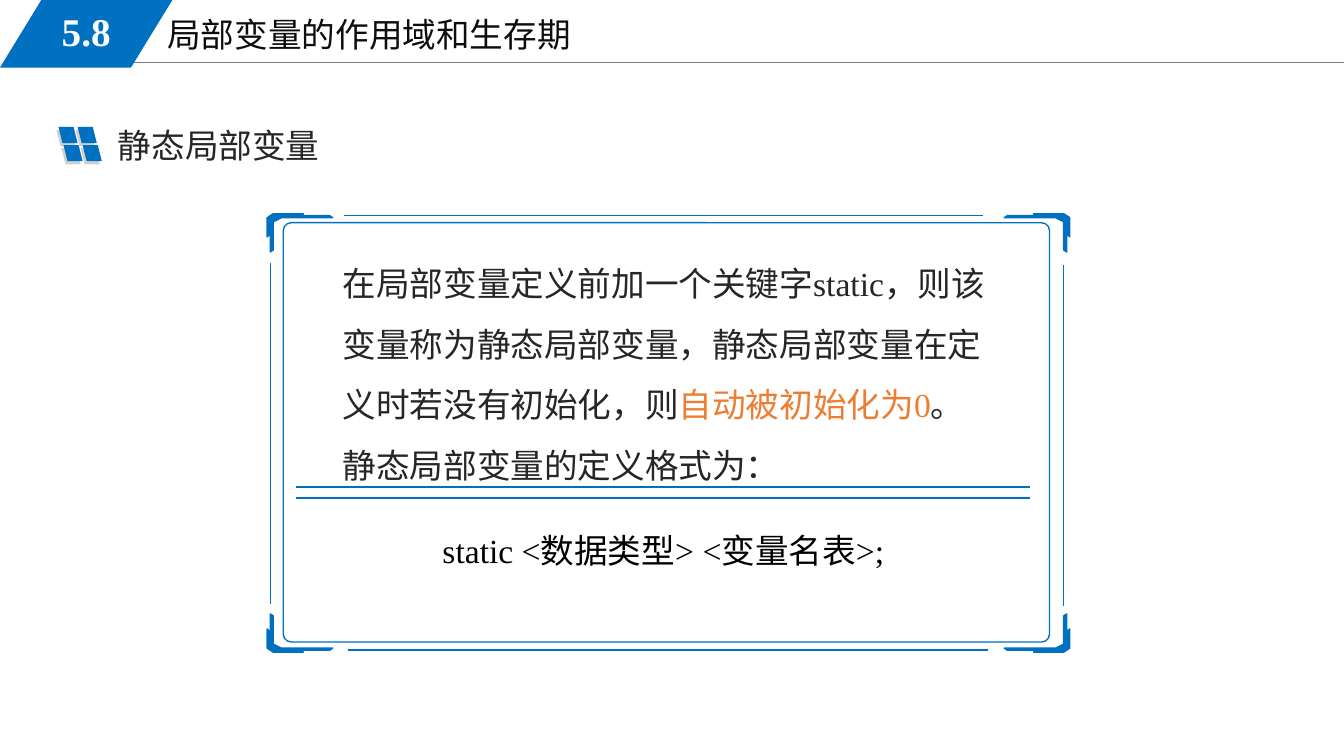
from dataclasses import dataclass
from itertools import product

from pptx import Presentation
from pptx.dml.color import RGBColor
from pptx.enum import shapes as es, text as et
from pptx.oxml import ns
from pptx.util import Inches, Pt
from lxml import etree

BLUE = RGBColor(0x00, 0x70, 0xC0)
GREY = RGBColor(0x80, 0x80, 0x80)
SILVER = RGBColor(0xD0, 0xCE, 0xCE)
ORANGE = RGBColor(0xED, 0x7D, 0x31)
INK = RGBColor(0x26, 0x26, 0x26)
TITLE_INK = RGBColor(0x0D, 0x0D, 0x0D)
BLACK = RGBColor(0, 0, 0)
WHITE = RGBColor(0xFF, 0xFF, 0xFF)
FONT = "Times New Roman"

FRAME_LEFT, FRAME_TOP, FRAME_RIGHT, FRAME_BOTTOM = 2.65, 2.12, 10.61, 6.47
BRACKET = [
    (2.71, 2.12), (3.01, 2.12), (2.97, 2.14), (3.27, 2.14), (3.3, 2.16),
    (2.79, 2.16), (2.71, 2.2), (2.71, 2.48), (2.68, 2.5), (2.68, 2.32),
    (2.65, 2.35), (2.65, 2.16),
]


@dataclass
class Box:
    left: float
    top: float
    width: float
    height: float

    def emu(self) -> list[int]:
        return [Inches(v) for v in (self.left, self.top, self.width, self.height)]


@dataclass
class Run:
    text: str
    color: RGBColor
    size: int = 24
    bold: bool = False


@dataclass
class Rule:
    x1: float
    y1: float
    x2: float
    y2: float
    color: RGBColor = BLUE
    width: float = 1


@dataclass
class Label:
    box: Box
    runs: list[Run]
    spacing: float = 1.0
    align: et.PP_ALIGN = et.PP_ALIGN.LEFT
    anchor: et.MSO_ANCHOR = et.MSO_ANCHOR.TOP


def write(sp, label: Label) -> None:
    sp.left, sp.top, sp.width, sp.height = label.box.emu()
    tf = sp.text_frame
    tf.word_wrap = True
    tf.auto_size = et.MSO_AUTO_SIZE.SHAPE_TO_FIT_TEXT
    tf.vertical_anchor = label.anchor
    p = tf.paragraphs[0]
    p.alignment = label.align
    p.line_spacing = label.spacing
    for run in label.runs:
        r = p.add_run()
        r.text = run.text
        r.font.name = FONT
        r.font.size = Pt(run.size)
        r.font.bold = run.bold
        r.font.color.rgb = run.color


def add_label(s, label: Label) -> None:
    write(s.shapes.add_textbox(*label.box.emu()), label)


def add_rule(s, rule: Rule) -> None:
    ends = [Inches(v) for v in (rule.x1, rule.y1, rule.x2, rule.y2)]
    line = s.shapes.add_connector(es.MSO_CONNECTOR.STRAIGHT, *ends)
    line.line.color.rgb = rule.color
    line.line.width = Pt(rule.width)
    etree.SubElement(line._element.spPr, ns.qn("a:effectLst"))


def add_parallelogram(s, box: Box, color: RGBColor, slant: float = 0.25, flip: bool = False) -> None:
    sp = s.shapes.add_shape(es.MSO_SHAPE.PARALLELOGRAM, *box.emu())
    sp.shadow.inherit = False
    sp.adjustments[0] = slant
    sp.fill.solid()
    sp.fill.fore_color.rgb = color
    sp.line.fill.background()
    if flip:
        sp._element.spPr.find(ns.qn("a:xfrm")).set("flipH", "1")


def add_panes(s, left: float, top: float, color: RGBColor) -> None:
    for col, row in product(range(2), repeat=2):
        box = Box(left + 0.19 * col + 0.05 * row, top + 0.18 * row, 0.19, 0.16)
        add_parallelogram(s, box, color, flip=True)


def add_bracket(s, mirror_x: bool, mirror_y: bool) -> None:
    points = [
        (
            Inches(FRAME_LEFT + FRAME_RIGHT - x if mirror_x else x),
            Inches(FRAME_TOP + FRAME_BOTTOM - y if mirror_y else y),
        )
        for x, y in BRACKET
    ]
    builder = s.shapes.build_freeform(*points[0])
    builder.add_line_segments(points[1:], close=True)
    sp = builder.convert_to_shape()
    sp.shadow.inherit = False
    sp.fill.solid()
    sp.fill.fore_color.rgb = BLUE
    sp.line.color.rgb = BLUE
    sp.line.width = Pt(1)


def add_frame(s) -> None:
    sp = s.shapes.add_shape(es.MSO_SHAPE.ROUNDED_RECTANGLE, *Box(2.81, 2.21, 7.6, 4.16).emu())
    sp.shadow.inherit = False
    sp.adjustments[0] = 0.019
    sp.fill.background()
    sp.line.color.rgb = BLUE
    sp.line.width = Pt(1)
    for mirror_x, mirror_y in product((False, True), repeat=2):
        add_bracket(s, mirror_x, mirror_y)
    for rule in (
        Rule(3.41, 2.14, 9.75, 2.14),
        Rule(3.45, 6.45, 9.8, 6.45),
        Rule(2.68, 2.61, 2.68, 5.99),
        Rule(10.55, 2.63, 10.55, 6.01),
        Rule(2.94, 4.83, 10.22, 4.83),
        Rule(2.94, 4.94, 10.22, 4.94),
    ):
        add_rule(s, rule)


def main() -> None:
    prs = Presentation()
    prs.slide_width, prs.slide_height = Inches(13.33), Inches(7.5)
    s = prs.slides.add_slide(prs.slide_layouts[5])

    write(s.shapes.title, Label(Box(1.56, 0.09, 5.67, 0.51), [Run("局部变量的作用域和生存期", TITLE_INK)]))
    add_rule(s, Rule(1.13, 0.62, 13.33, 0.62, GREY, 0.75))
    add_parallelogram(s, Box(0, 0, 1.71, 0.67), BLUE, slant=0.612)
    add_label(s, Label(
        Box(0.25, 0.02, 1.21, 0.58),
        [Run("5.8", WHITE, 28, True)],
        align=et.PP_ALIGN.CENTER,
        anchor=et.MSO_ANCHOR.MIDDLE,
    ))

    add_panes(s, 0.56, 1.29, SILVER)
    add_panes(s, 0.58, 1.26, BLUE)
    add_label(s, Label(Box(1.07, 1.19, 5.99, 0.5), [Run("静态局部变量", INK)]))

    add_label(s, Label(
        Box(3.3, 2.36, 6.65, 2.45),
        [
            Run("在局部变量定义前加一个关键字static，则该变量称为静态局部变量，静态局部变量在定义时若没有初始化，则", INK),
            Run("自动被初始化为0", ORANGE),
            Run("。静态局部变量的定义格式为：", INK),
        ],
        spacing=1.5,
    ))
    add_label(s, Label(Box(4.29, 5.21, 4.92, 0.5), [Run("static <数据类型> <变量名表>;", BLACK)]))
    add_frame(s)

    prs.save("out.pptx")


if __name__ == "__main__":
    main()
